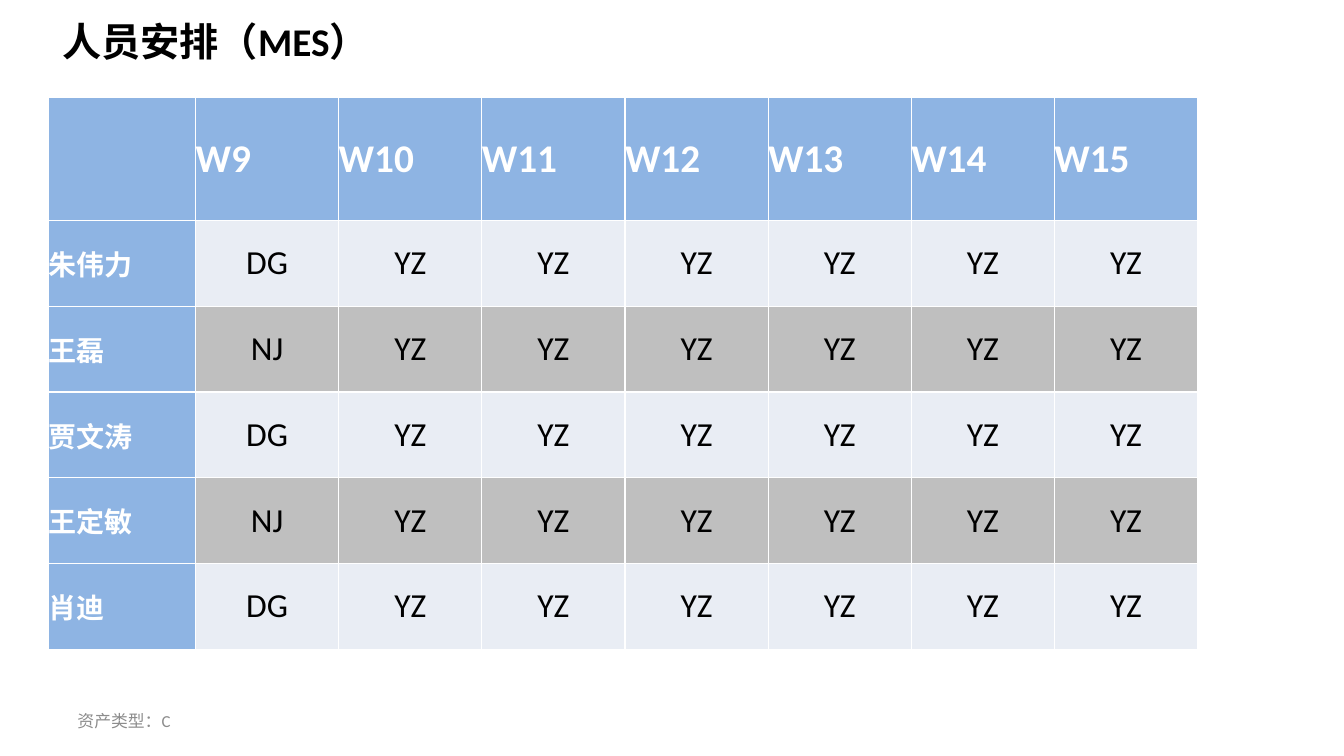
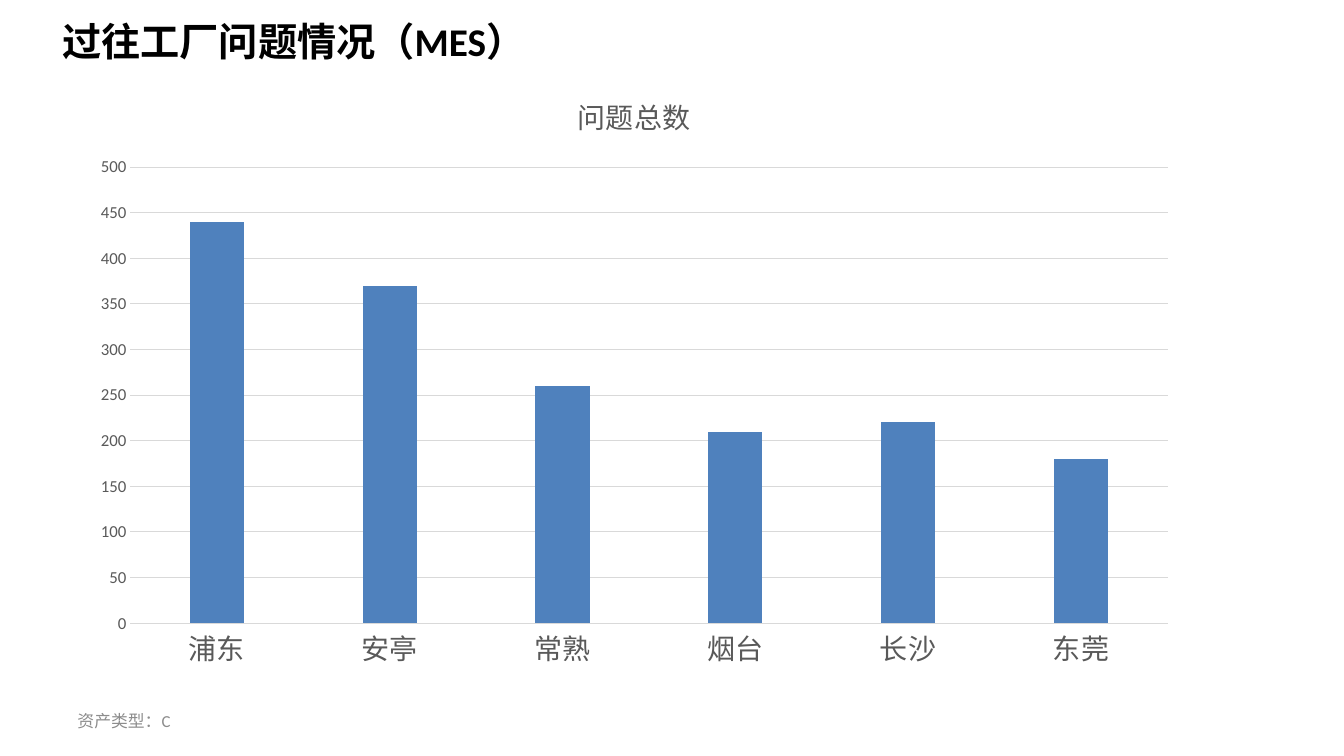
from dataclasses import dataclass

from lxml.etree import SubElement
from pptx import Presentation
from pptx.chart.data import CategoryChartData
from pptx.dml.color import RGBColor
from pptx.enum.chart import XL_CHART_TYPE, XL_TICK_MARK
from pptx.enum.text import MSO_ANCHOR, MSO_AUTO_SIZE, PP_ALIGN
from pptx.oxml.ns import qn
from pptx.presentation import Presentation as Deck
from pptx.slide import Slide
from pptx.table import _Cell
from pptx.text.text import Font
from pptx.util import Inches, Pt


@dataclass(frozen=True)
class Style:
    size: int
    color: str
    bold: bool = False
    font: str = "Calibri"


@dataclass(frozen=True)
class Theme:
    title: Style = Style(28, "000000", True)
    footer: Style = Style(12, "8C8C8C")
    week: Style = Style(28, "FFFFFF", True)
    person: Style = Style(20, "FFFFFF", True)
    site: Style = Style(24, "000000")
    chart: Style = Style(10, "000000")
    values: Style = Style(12, "595959")
    labels: Style = Style(20, "595959", font="Noto Sans CJK SC")
    head_fill: str = "8EB4E3"
    row_fills: tuple[str, str] = ("E9EDF4", "BFBFBF")
    border: str = "FFFFFF"
    grid: str = "D9D9D9"
    bar: str = "4F81BD"


@dataclass(frozen=True)
class Box:
    left: float
    top: float
    width: float
    height: float

    def inches(self) -> tuple[Inches, ...]:
        return tuple(Inches(v) for v in (self.left, self.top, self.width, self.height))


@dataclass(frozen=True)
class Person:
    name: str
    first_site: str


THEME = Theme()
TITLE_BOX = Box(0.52, 0.12, 9.98, 0.57)
FOOTER_BOX = Box(0.67, 6.95, 3.11, 0.4)
TABLE_BOX = Box(0.48, 0.97, 11.4, 5.46)
CHART_BOX = Box(0.78, 0.69, 11.02, 6.06)

NAME_WIDTH, WEEK_WIDTH = 1.46, 1.42
HEAD_HEIGHT, ROW_HEIGHT = 1.22, 0.85
WEEKS = [f"W{n}" for n in range(9, 16)]
NEXT_SITE = "YZ"
PEOPLE = [
    Person("朱伟力", "DG"),
    Person("王磊", "NJ"),
    Person("贾文涛", "DG"),
    Person("王定敏", "NJ"),
    Person("肖迪", "DG"),
]
ISSUES = {"浦东": 440, "安亭": 370, "常熟": 260, "烟台": 210, "长沙": 220, "东莞": 180}


def rgb(color: str) -> RGBColor:
    return RGBColor.from_string(color)


def set_font(font: Font, style: Style) -> None:
    font.name = style.font
    font.size = Pt(style.size)
    font.bold = style.bold
    font.color.rgb = rgb(style.color)


def add_text(s: Slide, box: Box, text: str, style: Style, anchor: MSO_ANCHOR,
             auto_size: MSO_AUTO_SIZE) -> None:
    tf = s.shapes.add_textbox(*box.inches()).text_frame
    tf.word_wrap = True
    tf.auto_size = auto_size
    tf.vertical_anchor = anchor
    p = tf.paragraphs[0]
    p.text = text
    set_font(p.font, style)


def add_slide(prs: Deck, title: str) -> Slide:
    """Add a blank slide with the shared title and footer."""
    s = prs.slides.add_slide(prs.slide_layouts[6])
    add_text(s, TITLE_BOX, title, THEME.title, MSO_ANCHOR.TOP,
             MSO_AUTO_SIZE.SHAPE_TO_FIT_TEXT)
    add_text(s, FOOTER_BOX, "资产类型：C", THEME.footer, MSO_ANCHOR.MIDDLE,
             MSO_AUTO_SIZE.NONE)
    return s


def add_borders(cell: _Cell) -> None:
    tc_pr = cell._tc.get_or_add_tcPr()
    for side in ("lnL", "lnR", "lnT", "lnB"):
        ln = SubElement(tc_pr, qn(f"a:{side}"), w=str(Pt(1)))
        SubElement(SubElement(ln, qn("a:solidFill")), qn("a:srgbClr"), val=THEME.border)


def fill_cell(cell: _Cell, text: str, style: Style, fill: str,
              align: PP_ALIGN = PP_ALIGN.LEFT) -> None:
    cell.margin_left = cell.margin_right = cell.margin_top = cell.margin_bottom = 0
    cell.vertical_anchor = MSO_ANCHOR.MIDDLE
    add_borders(cell)
    cell.fill.solid()
    cell.fill.fore_color.rgb = rgb(fill)
    p = cell.text_frame.paragraphs[0]
    if text:
        p.text = text
    p.alignment = align
    set_font(p.font, style)


def add_schedule(s: Slide) -> None:
    table = s.shapes.add_table(len(PEOPLE) + 1, len(WEEKS) + 1, *TABLE_BOX.inches()).table
    table.horz_banding = False
    for i, column in enumerate(table.columns):
        column.width = Inches(WEEK_WIDTH if i else NAME_WIDTH)
    for i, row in enumerate(table.rows):
        row.height = Inches(ROW_HEIGHT if i else HEAD_HEIGHT)

    for col, week in enumerate(["", *WEEKS]):
        fill_cell(table.cell(0, col), week, THEME.week, THEME.head_fill)
    for row, person in enumerate(PEOPLE, 1):
        fill_cell(table.cell(row, 0), person.name, THEME.person, THEME.head_fill)
        fill = THEME.row_fills[(row - 1) % 2]
        for col in range(1, len(WEEKS) + 1):
            site = person.first_site if col == 1 else NEXT_SITE
            fill_cell(table.cell(row, col), site, THEME.site, fill, PP_ALIGN.CENTER)


def add_issue_chart(s: Slide, name: str) -> None:
    data = CategoryChartData()
    data.categories = list(ISSUES)
    data.add_series(name, list(ISSUES.values()))
    chart = s.shapes.add_chart(XL_CHART_TYPE.COLUMN_STACKED, *CHART_BOX.inches(), data).chart
    set_font(chart.font, THEME.chart)
    chart.has_legend = False
    chart.has_title = True
    p = chart.chart_title.text_frame.paragraphs[0]
    p.text = name
    set_font(p.font, THEME.labels)
    chart.chart_title.include_in_layout = False

    plot = chart.plots[0]
    plot.gap_width = 219
    plot.overlap = 100
    plot.vary_by_categories = False
    bars = plot.series[0].format.fill
    bars.solid()
    bars.fore_color.rgb = rgb(THEME.bar)

    for axis, style in ((chart.category_axis, THEME.labels), (chart.value_axis, THEME.values)):
        axis.major_tick_mark = axis.minor_tick_mark = XL_TICK_MARK.NONE
        set_font(axis.tick_labels.font, style)
    chart.value_axis.format.line.fill.background()
    for line in (chart.category_axis.format.line,
                 chart.value_axis.major_gridlines.format.line):
        line.color.rgb = rgb(THEME.grid)
        line.width = Pt(0.75)


def main() -> None:
    prs = Presentation()
    prs.slide_width, prs.slide_height = Inches(13.33), Inches(7.5)
    add_schedule(add_slide(prs, "人员安排（MES）"))
    add_issue_chart(add_slide(prs, "过往工厂问题情况（MES）"), "问题总数")
    prs.save("out.pptx")


if __name__ == "__main__":
    main()
